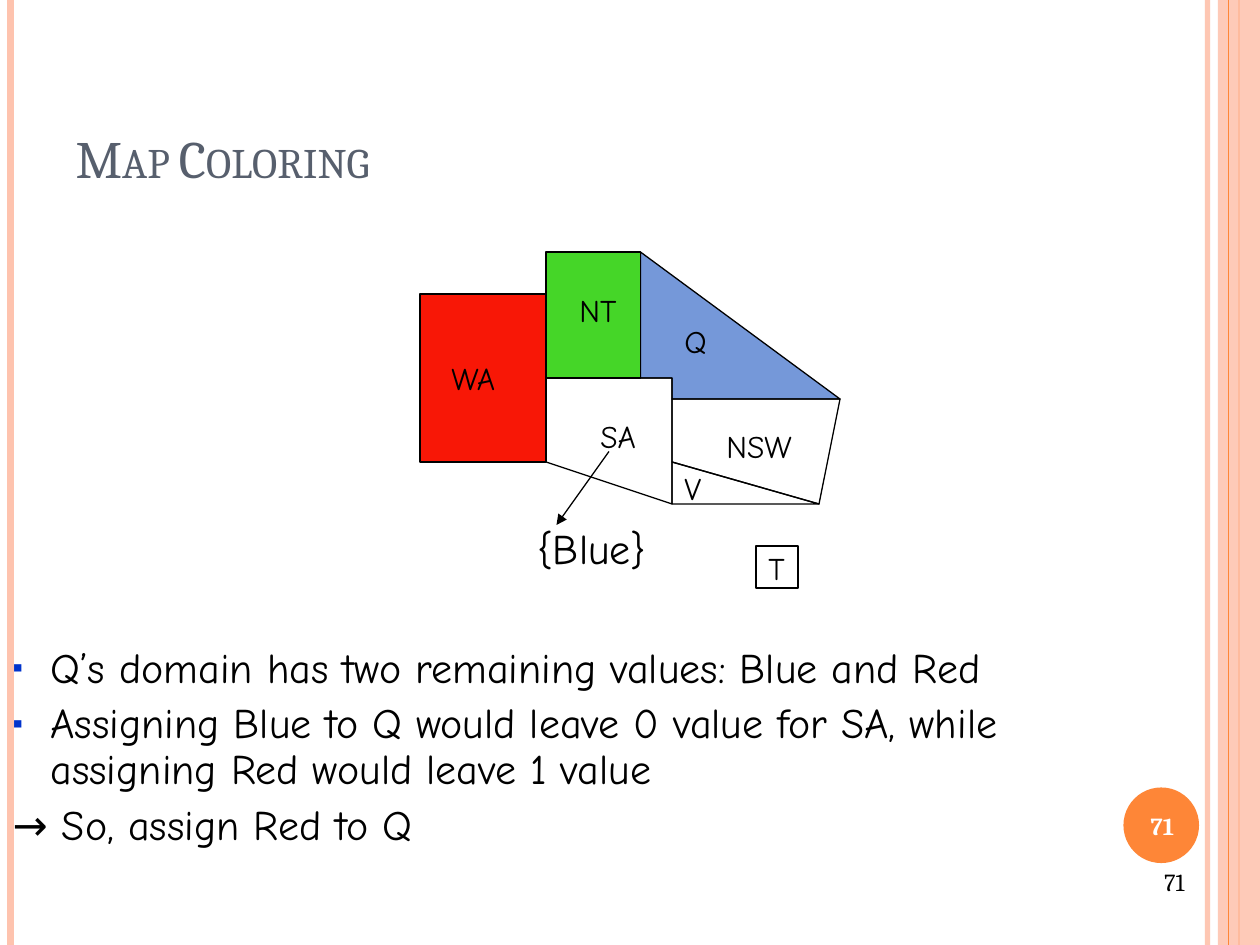
from dataclasses import dataclass

from lxml.etree import SubElement
from pptx import Presentation
from pptx.dml.color import RGBColor as RGB
from pptx.enum.shapes import MSO_CONNECTOR as Connector, MSO_SHAPE as Preset
from pptx.enum.text import MSO_ANCHOR as Anchor, MSO_AUTO_SIZE as AutoSize, PP_ALIGN as Align
from pptx.oxml.ns import qn
from pptx.util import Pt

PX = 7620
WIDTH, HEIGHT = 1200, 900


@dataclass(frozen=True)
class Theme:
    heading_font: str = "Cambria"
    body_font: str = "Comic Neue"
    black: str = "000000"
    white: str = "FFFFFF"
    slate: str = "575F6D"
    orange: str = "FE8637"
    peach: str = "FEC3AE"
    bullet: str = "0033CC"
    red: str = "F81706"
    green: str = "45D628"
    blue: str = "7598D9"
    title_size: int = 30
    body_size: int = 24
    label_size: int = 18
    number_size: int = 14
    outline: float = 0.75


class SlideBuilder:
    def __init__(self, slide, theme):
        self.slide = slide
        self.shapes = slide.shapes
        self.theme = theme

    def set_alpha(self, element, percent):
        for color in element.iter(qn("a:srgbClr")):
            SubElement(color, qn("a:alpha"), val=str(percent * 1000))

    def paint(self, shape, fill=None, outline=None):
        shape.shadow.inherit = False
        if fill:
            shape.fill.solid()
            shape.fill.fore_color.rgb = RGB.from_string(fill)
        else:
            shape.fill.background()
        if outline:
            shape.line.color.rgb = RGB.from_string(outline)
            shape.line.width = Pt(self.theme.outline)
        else:
            shape.line.fill.background()

    def preset(self, kind, left, top, width, height, fill=None, outline=None, alpha=None):
        shape = self.shapes.add_shape(kind, left * PX, top * PX, width * PX, height * PX)
        self.paint(shape, fill, outline)
        if alpha:
            self.set_alpha(shape.element, alpha)

    def region(self, points, fill=None):
        builder = self.shapes.build_freeform(*points[0], scale=PX)
        builder.add_line_segments(points[1:], close=True)
        self.paint(builder.convert_to_shape(), fill, self.theme.black)

    def line(self, start, end, color, width, alpha=None, arrow=False):
        ends = [length * PX for length in (*start, *end)]
        connector = self.shapes.add_connector(Connector.STRAIGHT, *ends)
        connector.line.color.rgb = RGB.from_string(color)
        connector.line.width = Pt(width)
        properties = connector.element.spPr
        if alpha:
            self.set_alpha(properties, alpha)
        if arrow:
            SubElement(properties.find(qn("a:ln")), qn("a:tailEnd"), type="triangle")
        SubElement(properties, qn("a:effectLst"))

    def add_run(self, paragraph, text, size, font, color, bold=False):
        run = paragraph.add_run()
        run.text = text
        run.font.size = Pt(size)
        run.font.name = font
        run.font.bold = bold
        run.font.color.rgb = RGB.from_string(color)
        return run

    def text_box(self, box, anchor=Anchor.TOP, align=Align.LEFT, wrap=True):
        shape = self.shapes.add_textbox(*[length * PX for length in box])
        frame = shape.text_frame
        frame.word_wrap = wrap
        frame.auto_size = AutoSize.NONE if wrap else AutoSize.SHAPE_TO_FIT_TEXT
        frame.vertical_anchor = anchor
        frame.paragraphs[0].alignment = align
        return frame.paragraphs[0]

    def label(self, text, box, size):
        paragraph = self.text_box(box, wrap=False)
        self.add_run(paragraph, text, size, self.theme.body_font, self.theme.black)

    def number(self, text, box, color, anchor, align, bold=False):
        paragraph = self.text_box(box, anchor, align)
        self.add_run(paragraph, text, self.theme.number_size, self.theme.heading_font, color, bold)

    def place(self, placeholder, box, anchor):
        placeholder.left, placeholder.top, placeholder.width, placeholder.height = [
            length * PX for length in box]
        placeholder.element.getparent().append(placeholder.element)
        frame = placeholder.text_frame
        frame.auto_size = AutoSize.NONE
        frame.word_wrap = True
        frame.vertical_anchor = anchor
        return frame

    def title(self, text, box):
        paragraph = self.place(self.shapes.title, box, Anchor.BOTTOM).paragraphs[0]
        paragraph.alignment = Align.LEFT
        run = self.add_run(paragraph, text, self.theme.title_size,
                           self.theme.heading_font, self.theme.slate)
        run.font._element.set("cap", "small")

    def body(self, items, box, indent):
        frame = self.place(self.slide.placeholders[1], box, Anchor.TOP)
        for index, (text, bulleted) in enumerate(items):
            paragraph = frame.add_paragraph() if index else frame.paragraphs[0]
            paragraph.line_spacing = 0.9
            paragraph.space_before = Pt(6)
            properties = paragraph._p.get_or_add_pPr()
            properties.set("marL", str(indent * PX))
            properties.set("indent", str(-indent * PX))
            if bulleted:
                color = SubElement(properties, qn("a:buClr"))
                SubElement(color, qn("a:srgbClr"), val=self.theme.bullet)
                SubElement(properties, qn("a:buSzPct"), val="70000")
                SubElement(properties, qn("a:buChar"), char="▪")
            else:
                SubElement(properties, qn("a:buNone"))
            self.add_run(paragraph, text, self.theme.body_size,
                         self.theme.body_font, self.theme.black)


def draw_frame(builder, theme):
    def stripe(x, color, width, alpha=None):
        builder.line((x, 0), (x, HEIGHT), color, width, alpha)

    stripe(1150, theme.peach, 3, 93)
    stripe(10, theme.peach, 4.5)
    stripe(1180, theme.orange, 1.5)
    builder.preset(Preset.RECTANGLE, 1160, 0, 40, HEIGHT, theme.peach, alpha=87)
    stripe(1170, theme.orange, 0.75)
    builder.preset(Preset.OVAL, 1070, 750, 72, 72, theme.orange)


def draw_map(builder, theme):
    regions = [
        ([(610, 240), (610, 360), (640, 360), (640, 380), (800, 380)], theme.blue),
        ([(520, 360), (640, 360), (640, 480), (520, 440)], None),
        ([(640, 380), (640, 440), (780, 480), (800, 380)], None),
        ([(640, 440), (640, 480), (780, 480)], None),
    ]
    for points, fill in regions:
        builder.region(points, fill)
    rectangles = [
        (720, 520, 40, 40, None),
        (400, 280, 120, 160, theme.red),
        (520, 240, 90, 120, theme.green),
    ]
    for *box, fill in rectangles:
        builder.preset(Preset.RECTANGLE, *box, fill, theme.black)

    labels = [
        ("SA", 560, 391, 67), ("Q", 640, 301, 50), ("NSW", 680, 401, 101), ("V", 640, 441, 43),
        ("T", 720, 517, 44), ("WA", 418, 336, 77), ("NT", 540, 271, 68),
    ]
    for text, left, top, width in labels:
        builder.label(text, (left, top, width, 48), theme.label_size)
    builder.line((580, 430), (530, 500), theme.black, theme.outline, arrow=True)
    builder.label("{Blue}", (500, 492, 132, 60), theme.body_size)


def main():
    presentation = Presentation()
    presentation.slide_width, presentation.slide_height = WIDTH * PX, HEIGHT * PX
    slide = presentation.slides.add_slide(presentation.slide_layouts[1])
    theme = Theme()
    builder = SlideBuilder(slide, theme)
    draw_frame(builder, theme)
    builder.title("Map Coloring", (60, 36, 980, 150))
    builder.number("71", (1067, 752, 80, 68), theme.white, Anchor.MIDDLE, Align.CENTER, bold=True)
    builder.body([
        ("Q’s domain has two remaining values: Blue and Red", True),
        ("Assigning Blue to Q would leave 0 value for SA, while assigning Red would leave 1 value",
         True),
        ("→ So, assign Red to Q", False),
    ], (0, 610, 1080, 240), indent=36)
    draw_map(builder, theme)
    builder.number("71", (860, 820, 280, 62), theme.black, Anchor.TOP, Align.RIGHT)
    presentation.save("out.pptx")


if __name__ == "__main__":
    main()
